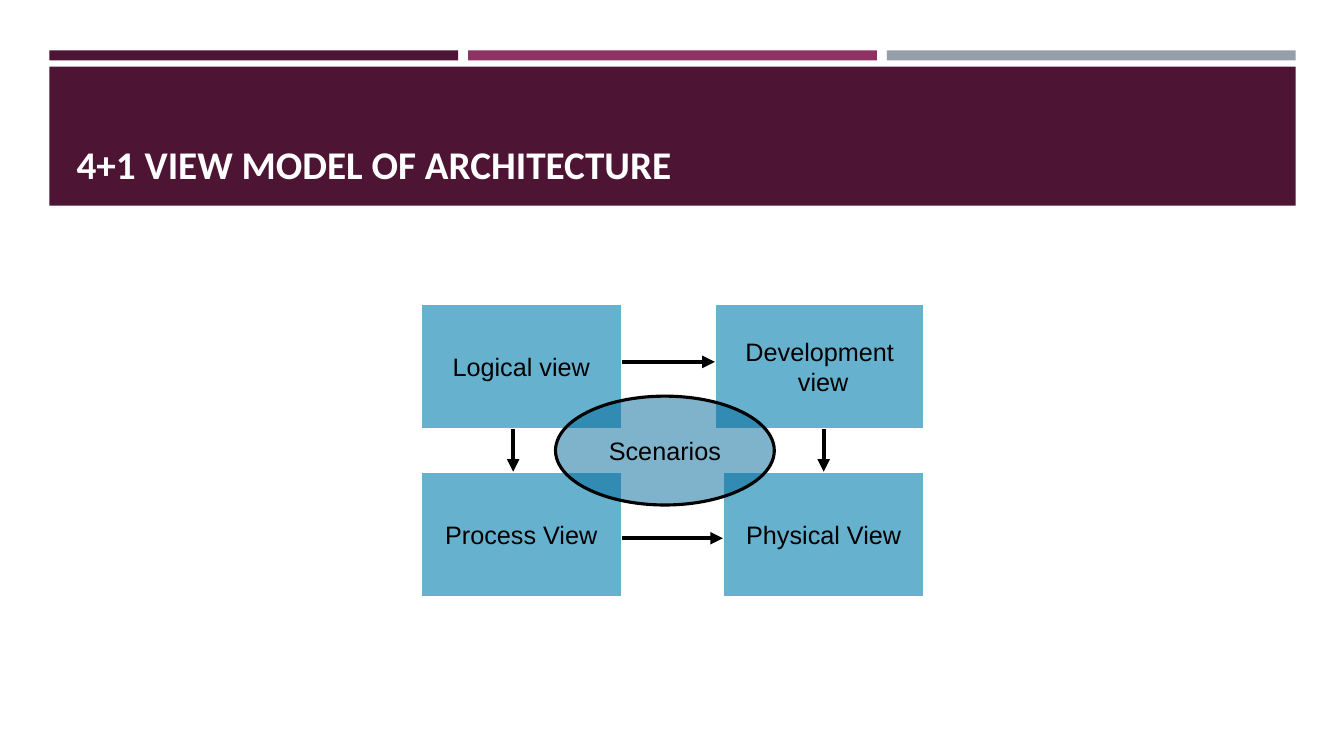
from dataclasses import dataclass

from lxml import etree
from pptx import Presentation
from pptx import util as u
from pptx.dml.color import RGBColor
from pptx.enum import shapes, text
from pptx.oxml import ns


@dataclass(frozen=True)
class Theme:
    """Colours, fonts and type sizes of the slide."""
    plum: str = "4D1434"
    rose: str = "903163"
    grey: str = "969FA7"
    sky: str = "66B1CE"
    blue: str = "006699"
    white: str = "FFFFFF"
    black: str = "000000"
    head: str = "Calibri"
    body: str = "Arial"
    big: int = 28
    small: int = 18


THEME = Theme()


def paint(part, hue):
    """Give a fill or font colour format a solid colour."""
    part.rgb = RGBColor.from_string(hue)


def style(frame, face, size, hue, bold, align):
    """Format every run of a text frame."""
    for para in frame.paragraphs:
        para.alignment = align
        for run in para.runs:
            run.font.name = face
            run.font.size = u.Pt(size)
            run.font.bold = bold
            paint(run.font.color, hue)


def block(slide, kind, box, fill, line=None, width=0):
    """Add a flat preset shape in the given box."""
    shape = slide.shapes.add_shape(kind, *map(u.Inches, box))
    shape.shadow.inherit = False
    shape.fill.solid()
    paint(shape.fill.fore_color, fill)
    if line:
        paint(shape.line.color, line)
        shape.line.width = u.Pt(width)
    else:
        shape.line.fill.background()
    return shape


def label(shape, words):
    """Centre a caption in a shape."""
    frame = shape.text_frame
    frame.text = words
    frame.word_wrap = False
    frame.vertical_anchor = text.MSO_ANCHOR.MIDDLE
    style(frame, THEME.body, THEME.small, THEME.black, False, text.PP_ALIGN.CENTER)


def arrow(slide, start, end):
    """Join two points with a black arrow."""
    link = slide.shapes.add_connector(
        shapes.MSO_CONNECTOR.STRAIGHT, *map(u.Inches, start + end))
    paint(link.line.color, THEME.black)
    link.line.width = u.Pt(3)
    etree.SubElement(link.line._get_or_add_ln(), ns.qn("a:tailEnd"), type="triangle")
    etree.SubElement(link._element.spPr, ns.qn("a:effectLst"))


def header(slide, box, words):
    """Draw three stripes, the band below them and the title."""
    left, top, width, height = box
    rect = shapes.MSO_SHAPE.RECTANGLE
    gap, thick, drop = 0.1, 0.1, 0.16
    part = (width - 2 * gap) / 3
    for i, hue in enumerate((THEME.plum, THEME.rose, THEME.grey)):
        block(slide, rect, (left + i * (part + gap), top, part, thick), hue)
    block(slide, rect, (left, top + drop, width, height - drop), THEME.plum)

    title = slide.shapes.title
    slide.shapes._spTree.append(title._element)
    title.left, title.top = u.Inches(left + 0.17), u.Inches(top + 0.45)
    title.width, title.height = u.Inches(9.43), u.Inches(0.96)
    frame = title.text_frame
    frame.text = words
    frame.word_wrap = True
    frame.auto_size = text.MSO_AUTO_SIZE.NONE
    frame.vertical_anchor = text.MSO_ANCHOR.BOTTOM
    style(frame, THEME.head, THEME.big, THEME.white, True, text.PP_ALIGN.LEFT)


def views(slide, box):
    """Draw the four views, the scenarios over them and the arrows."""
    left, top, width, height = box
    right, base = left + width, top + height
    wide, tall, broad = 2, 1.25, 2.08
    low = base - tall
    cells = (
        ("Logical view", left, top, wide),
        ("Physical View", right - wide, low, wide),
        ("Process View", left, low, wide),
        ("Development\v view", right - broad, top, broad),
    )
    for words, x, y, span in cells:
        cell = block(slide, shapes.MSO_SHAPE.RECTANGLE, (x, y, span, tall),
                     THEME.sky, THEME.white, 2)
        label(cell, words)

    oval = block(slide, shapes.MSO_SHAPE.OVAL, (left + 1.34, top + 0.92, 2.17, 1.08),
                 THEME.blue, THEME.black, 2.25)
    tint = oval._element.spPr.find(ns.qn("a:solidFill"))[0]
    etree.SubElement(tint, ns.qn("a:alpha"), val="50000")
    label(oval, "Scenarios")

    for x in (left + 0.92, right - 1):
        arrow(slide, (x, top + tall), (x, low))
    for y, span in ((top + 0.58, broad), (low + 0.66, wide)):
        arrow(slide, (left + wide, y), (right - span, y))


def main():
    """Build and save the slide."""
    deck = Presentation()
    deck.slide_width, deck.slide_height = u.Inches(13.33), u.Inches(7.5)
    slide = deck.slides.add_slide(deck.slide_layouts.get_by_name("Title Only"))
    header(slide, (0.49, 0.5, 12.36, 1.54), "4+1 VIEW MODEL OF ARCHITECTURE")
    views(slide, (4.17, 3.01, 5, 2.92))
    deck.save("out.pptx")


if __name__ == "__main__":
    main()
